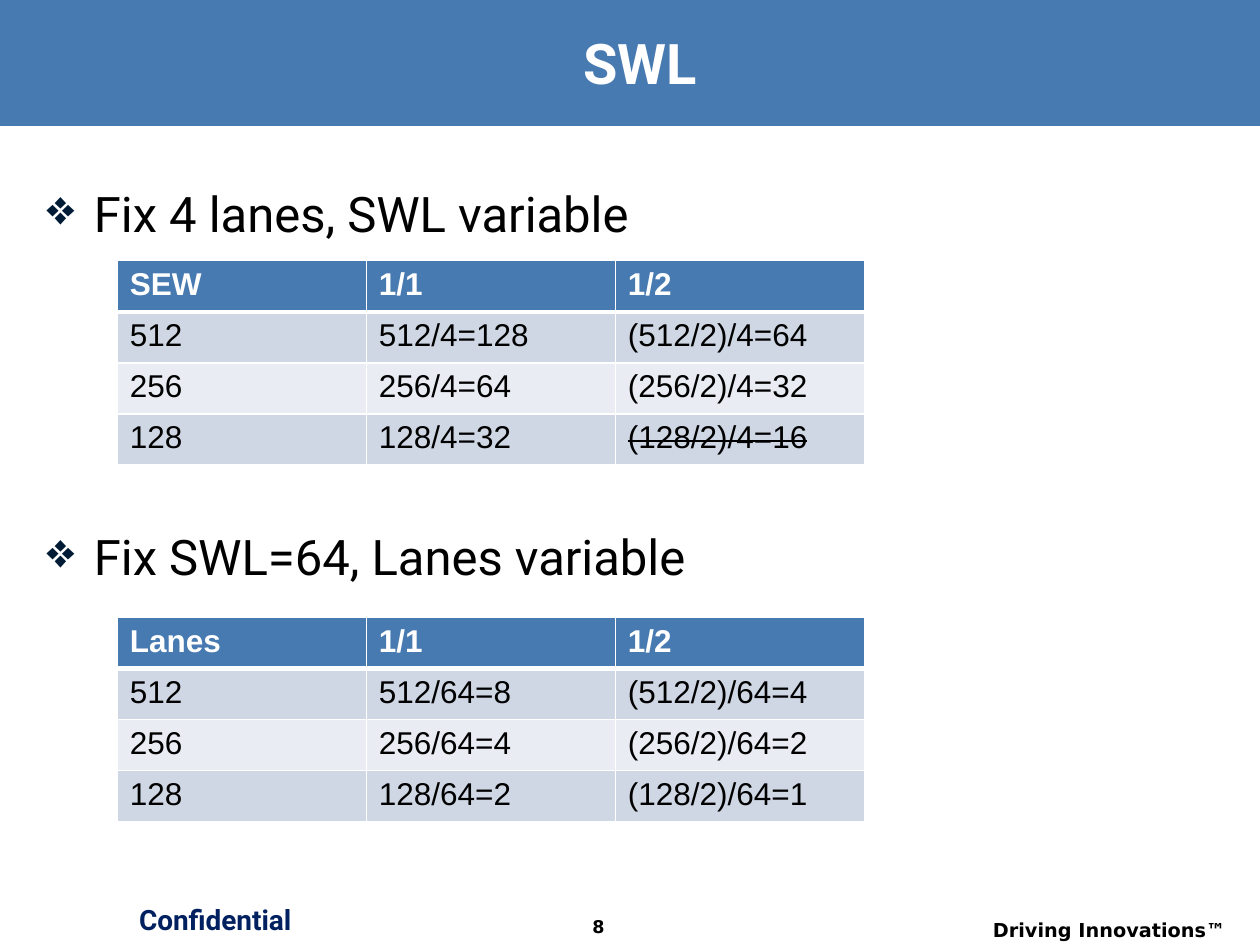
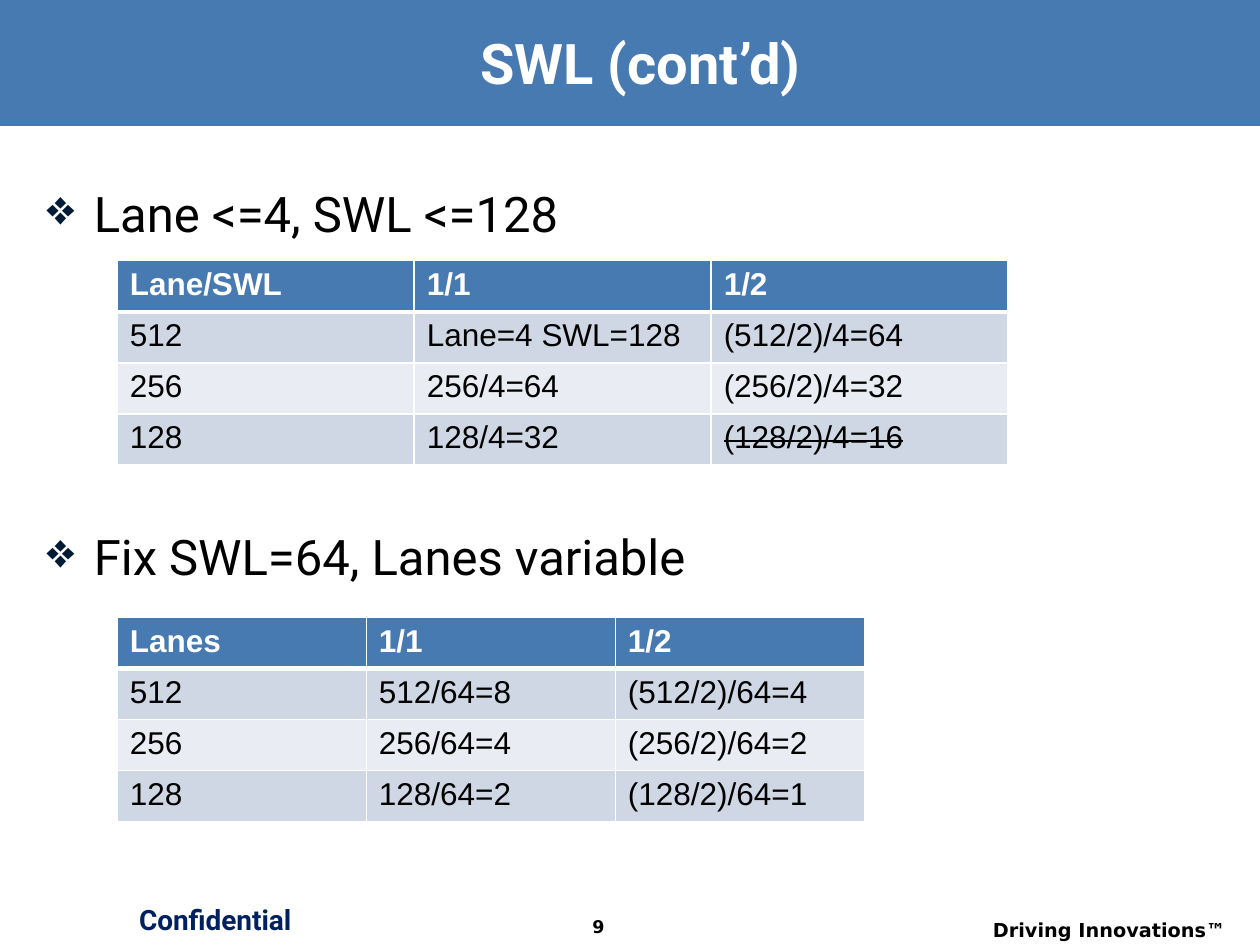
"""Build two slides on SWL and lane counts, each with two headed tables."""
from dataclasses import dataclass

from lxml import etree
from pptx import Presentation
from pptx.dml.color import RGBColor
from pptx.enum.shapes import MSO_SHAPE
from pptx.enum.text import MSO_ANCHOR, PP_ALIGN
from pptx.oxml.ns import qn
from pptx.util import Pt

RECTANGLE = MSO_SHAPE.RECTANGLE
TOP, MIDDLE = MSO_ANCHOR.TOP, MSO_ANCHOR.MIDDLE
LEFT, CENTER, RIGHT = PP_ALIGN.LEFT, PP_ALIGN.CENTER, PP_ALIGN.RIGHT

BLUE, NAVY, BULLET = "477AB1", "002060", "001B36"
WHITE, BLACK = "FFFFFF", "000000"
BANDS = ("CFD7E4", "E9ECF2")
HEADING, BODY, FOOTER = "Roboto", "Arial", "DejaVu Sans"

SLIDE_WIDTH, SLIDE_HEIGHT, BAND_HEIGHT = 720, 540, 72
TABLE_LEFT, TABLE_TOPS, ROW_HEIGHT = 67, (149, 352.8), 29.2
NARROW, WIDE = 142.3, 169.7
INDENT, LINE_HEIGHT, TOPIC_STEP = 27, 37, 196


@dataclass(frozen=True)
class TextStyle:
    """Font and alignment of a text box."""
    font: str
    size: float
    color: str
    bold: bool = True
    align: PP_ALIGN = CENTER
    anchor: MSO_ANCHOR = TOP


@dataclass(frozen=True)
class Frame:
    """Place and size in points."""
    left: float
    top: float
    width: float
    height: float


@dataclass(frozen=True)
class Topic:
    """A bulleted heading with its table."""
    heading: str
    rows: tuple[tuple[str, ...], ...]
    column_width: float = NARROW
    struck: str = ""


@dataclass(frozen=True)
class Page:
    """Title, number and topics of one slide."""
    title: str
    number: int
    topics: tuple[Topic, ...]


TITLE_STYLE = TextStyle(HEADING, 32, WHITE, anchor=MIDDLE)
TOPIC_STYLE = TextStyle(HEADING, 28, BLACK, bold=False, align=LEFT)
CONFIDENTIAL_STYLE = TextStyle(HEADING, 16, NAVY)
SLOGAN_STYLE = TextStyle(FOOTER, 11, BLACK, align=RIGHT)
NUMBER_STYLE = TextStyle(FOOTER, 10, BLACK)

STRUCK = "(128/2)/4=16"
HALVED_ROWS = (
    ("256", "256/4=64", "(256/2)/4=32"),
    ("128", "128/4=32", STRUCK),
)
FIXED_SWL = Topic("Fix SWL=64, Lanes variable", (
    ("Lanes", "1/1", "1/2"),
    ("512", "512/64=8", "(512/2)/64=4"),
    ("256", "256/64=4", "(256/2)/64=2"),
    ("128", "128/64=2", "(128/2)/64=1"),
))
FIXED_LANES = Topic("Fix 4 lanes, SWL variable", (
    ("SEW", "1/1", "1/2"),
    ("512", "512/4=128", "(512/2)/4=64"),
    *HALVED_ROWS,
), struck=STRUCK)
BOUNDED = Topic("Lane <=4, SWL <=128", (
    ("Lane/SWL", "1/1", "1/2"),
    ("512", "Lane=4 SWL=128", "(512/2)/4=64"),
    *HALVED_ROWS,
), WIDE, STRUCK)
PAGES = (
    Page("SWL", 8, (FIXED_LANES, FIXED_SWL)),
    Page("SWL (cont’d)", 9, (BOUNDED, FIXED_SWL)),
)


def rgb(color: str) -> RGBColor:
    """Turn a hex string into a colour."""
    return RGBColor.from_string(color)


def add_solid_fill(parent, color: str) -> None:
    """Append a solid fill element."""
    fill = etree.SubElement(parent, qn("a:solidFill"))
    etree.SubElement(fill, qn("a:srgbClr"), val=color)


def format_span(span, font: str, size: float, color: str, bold: bool) -> None:
    """Set the font of a run."""
    span.font.name = font
    span.font.size = Pt(size)
    span.font.bold = bold
    span.font.color.rgb = rgb(color)


def add_text(page, frame: Frame, text: str, style: TextStyle):
    """Add a wrapped text box, one paragraph per line of text."""
    box = page.shapes.add_textbox(
        Pt(frame.left), Pt(frame.top), Pt(frame.width), Pt(frame.height))
    box.text_frame.text = text
    box.text_frame.word_wrap = True
    box.text_frame.vertical_anchor = style.anchor
    for para in box.text_frame.paragraphs:
        para.alignment = style.align
        for span in para.runs:
            format_span(span, style.font, style.size, style.color, style.bold)
    return box


def add_text_shadow(span) -> None:
    """Give a run a black shadow to the lower right."""
    effects = etree.Element(qn("a:effectLst"))
    shadow = etree.SubElement(effects, qn("a:outerShdw"), dist="38100", dir="2700000")
    etree.SubElement(shadow, qn("a:srgbClr"), val=BLACK)
    span._r.rPr.find(qn("a:solidFill")).addnext(effects)


def add_bullet(para) -> None:
    """Give a paragraph a hanging diamond bullet."""
    properties = para._p.get_or_add_pPr()
    properties.set("marL", str(Pt(INDENT)))
    properties.set("indent", str(-Pt(INDENT)))
    color = etree.SubElement(properties, qn("a:buClr"))
    etree.SubElement(color, qn("a:srgbClr"), val=BULLET)
    etree.SubElement(properties, qn("a:buChar"), char="❖")


def set_borders(cell, top: float, bottom: float) -> None:
    """Draw white lines around a cell."""
    widths = {"a:lnL": 1, "a:lnR": 1, "a:lnT": top, "a:lnB": bottom}
    properties = cell._tc.get_or_add_tcPr()
    for position, (side, width) in enumerate(widths.items()):
        line = etree.Element(qn(side), w=str(Pt(width)))
        add_solid_fill(line, WHITE)
        properties.insert(position, line)


def add_topic_table(page, topic: Topic, top: float) -> None:
    """Add the table of a topic with a header and banded rows."""
    row_count, column_count = len(topic.rows), len(topic.rows[0])
    table = page.shapes.add_table(
        row_count, column_count, Pt(TABLE_LEFT), Pt(top),
        Pt(topic.column_width * column_count), Pt(ROW_HEIGHT * row_count)).table
    for column in table.columns:
        column.width = Pt(topic.column_width)
    for row_index, texts in enumerate(topic.rows):
        table.rows[row_index].height = Pt(ROW_HEIGHT)
        header = row_index == 0
        fill = BLUE if header else BANDS[(row_index - 1) % 2]
        for column_index, text in enumerate(texts):
            cell = table.cell(row_index, column_index)
            cell.fill.solid()
            cell.fill.fore_color.rgb = rgb(fill)
            set_borders(cell, 3 if row_index == 1 else 1, 3 if header else 1)
            cell.text_frame.text = text
            span = cell.text_frame.paragraphs[0].runs[0]
            format_span(span, BODY, 18, WHITE if header else BLACK, header)
            if text == topic.struck:
                span._r.get_or_add_rPr().set("strike", "sngStrike")


def add_headings(page, topics: tuple[Topic, ...]) -> None:
    """Add the bulleted headings, spaced to leave room for the tables."""
    text = "\n".join(topic.heading for topic in topics)
    box = add_text(page, Frame(19.5, 98, 680, 412), text, TOPIC_STYLE)
    for index, para in enumerate(box.text_frame.paragraphs):
        para.line_spacing = Pt(LINE_HEIGHT)
        para.space_before = Pt(TOPIC_STEP - LINE_HEIGHT if index else 0)
        add_bullet(para)


def add_frame(page, title: str, number: int) -> None:
    """Add the title band, the title and the footers."""
    band = page.shapes.add_shape(RECTANGLE, 0, 0, Pt(SLIDE_WIDTH), Pt(BAND_HEIGHT))
    band.shadow.inherit = False
    band.fill.solid()
    band.fill.fore_color.rgb = rgb(BLUE)
    band.line.fill.background()
    add_text(page, Frame(64, 512, 118, 30), "Confidential", CONFIDENTIAL_STYLE)
    add_text(page, Frame(537, 521.3, 170.6, 18.7), "Driving Innovations™", SLOGAN_STYLE)
    add_text(page, Frame(309, 520, 66, 20), str(number), NUMBER_STYLE)
    box = add_text(page, Frame(25, 11.5, 682, 47.5), title, TITLE_STYLE)
    add_text_shadow(box.text_frame.paragraphs[0].runs[0])


def main() -> None:
    """Build and save the deck."""
    deck = Presentation()
    deck.slide_width, deck.slide_height = Pt(SLIDE_WIDTH), Pt(SLIDE_HEIGHT)
    for content in PAGES:
        page = deck.slides.add_slide(deck.slide_layouts[6])
        add_frame(page, content.title, content.number)
        add_headings(page, content.topics)
        for topic, top in zip(content.topics, TABLE_TOPS):
            add_topic_table(page, topic, top)
    deck.save("out.pptx")


if __name__ == "__main__":
    main()
